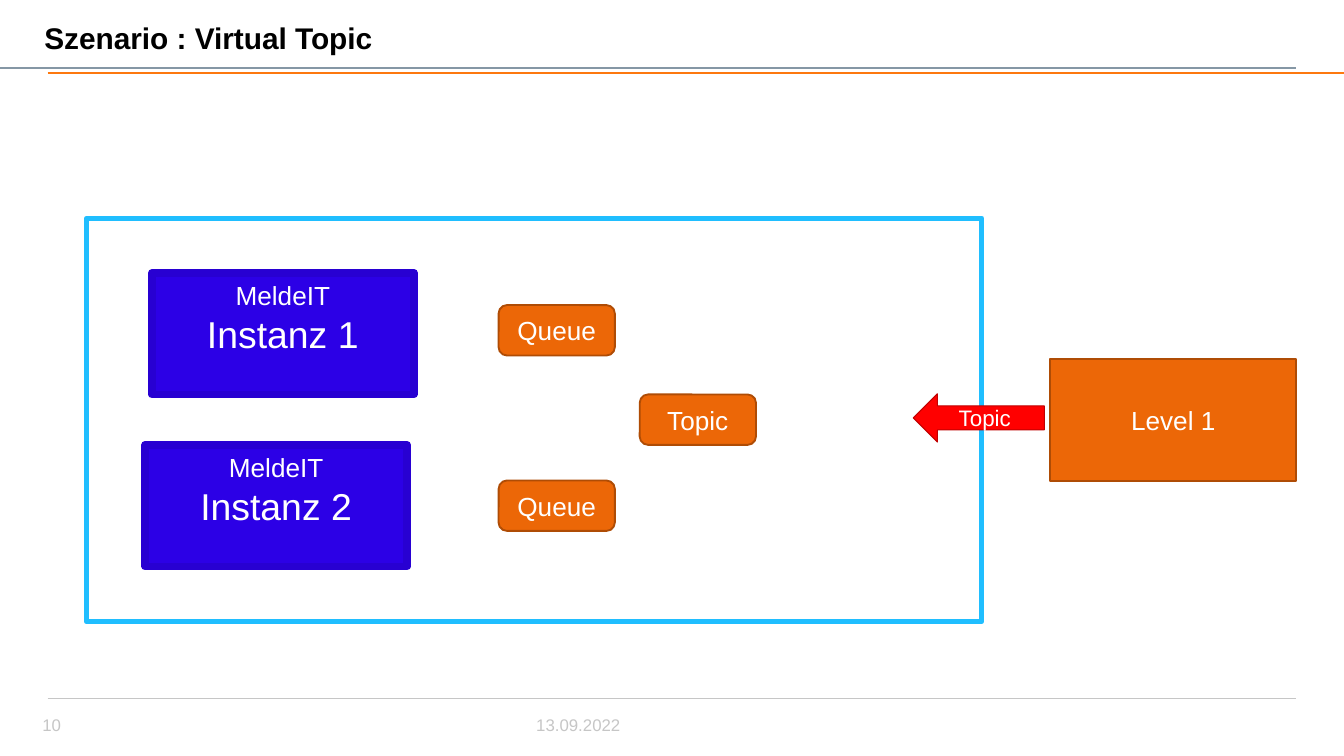
from lxml.etree import SubElement
from pptx import Presentation
from pptx.dml.color import RGBColor
from pptx.enum.shapes import MSO_CONNECTOR, MSO_SHAPE
from pptx.enum.text import MSO_ANCHOR, PP_ALIGN
from pptx.oxml.ns import qn
from pptx.util import Emu, Pt

PX = 4572
WHITE, GREY, ORANGE = "FFFFFF", "C6C6C6", "EC6707"


def px(n):
    return Emu(n * PX)


def color(fmt, value):
    fmt.rgb = RGBColor.from_string(value)


def add_text(tf, lines, sizes, fg=WHITE, bold=False, align=PP_ALIGN.CENTER,
             anchor=MSO_ANCHOR.MIDDLE, margins=(20, 10)):
    tf.word_wrap = True
    tf.vertical_anchor = anchor
    tf.margin_left = tf.margin_right = px(margins[0])
    tf.margin_top = tf.margin_bottom = px(margins[1])
    for i, (line, size) in enumerate(zip(lines, sizes)):
        p = tf.add_paragraph() if i else tf.paragraphs[0]
        p.alignment = align
        r = p.add_run()
        r.text = line
        r.font.name = "Arial"
        r.font.size = Pt(size)
        r.font.bold = bold
        color(r.font.color, fg)


def add_label(s, x, y, w, h, text, size, **fmt):
    tb = s.shapes.add_textbox(px(x), px(y), px(w), px(h))
    add_text(tb.text_frame, [text], [size], margins=(14, 8), **fmt)


def add_rule(s, x, y, w, stroke, width):
    c = s.shapes.add_connector(MSO_CONNECTOR.STRAIGHT, px(x), px(y), px(x + w), px(y))
    color(c.line.color, stroke)
    c.line.width = Pt(width)
    SubElement(c._element.spPr, qn("a:effectLst"))


def add_box(s, kind, x, y, w, h, fill, stroke, width):
    sp = s.shapes.add_shape(kind, px(x), px(y), px(w), px(h))
    sp.shadow.inherit = False
    if fill:
        sp.fill.solid()
        color(sp.fill.fore_color, fill)
    else:
        sp.fill.background()
    color(sp.line.color, stroke)
    sp.line.width = Pt(width)
    return sp


def header(s, x, y, w, title):
    add_rule(s, x, y + 101, w - 71, "8597A5", 1)
    add_rule(s, x + 71, y + 109, w - 71, "FD780F", 1)
    add_label(s, x + 52, y + 21, w - 122, 70, title, 16, fg="000000",
              bold=True, align=PP_ALIGN.LEFT)


def footer(s, x, y, w, number, date):
    add_rule(s, x + 71, y, w - 142, GREY, 0.5)
    add_label(s, x + 49, y + 16, 114, 48, number, 9, fg=GREY, align=PP_ALIGN.LEFT)
    add_label(s, x + 781, y + 16, 156, 48, date, 9, fg=GREY, align=PP_ALIGN.RIGHT)


def system(s, x, y, w, h):
    add_box(s, MSO_SHAPE.RECTANGLE, x, y, w, h, None, "20BEFF", 3)
    for dx, dy, name in ((87, 337, "Instanz 2"), (97, 81, "Instanz 1")):
        sp = add_box(s, MSO_SHAPE.RECTANGLE, x + dx, y + dy, 390, 181, "2C00E6", "2800D2", 4)
        add_text(sp.text_frame, ["MeldeIT", name], [14, 20], anchor=MSO_ANCHOR.TOP)
    for dx, dy, name in ((613, 129, "Queue"), (613, 390, "Queue"), (823, 262, "Topic")):
        sp = add_box(s, MSO_SHAPE.ROUNDED_RECTANGLE, x + dx, y + dy, 173, 75,
                     ORANGE, "AF4C05", 1)
        add_text(sp.text_frame, [name], [14])


def sender(s, x, y, w, h):
    sp = add_box(s, MSO_SHAPE.RECTANGLE, x + w - 366, y, 366, h, ORANGE, "AF4C05", 1)
    add_text(sp.text_frame, ["Level 1"], [14])
    sp = add_box(s, MSO_SHAPE.LEFT_ARROW, x, y + 52, 195, 72, "FF0000", "C00000", 0.5)
    add_text(sp.text_frame, ["Topic"], [12])


def main():
    prs = Presentation()
    prs.slide_width, prs.slide_height = px(2000), px(1125)
    s = prs.slides.add_slide(prs.slide_layouts[6])
    header(s, 0, 0, 2000, "Szenario : Virtual Topic")
    footer(s, 0, 1039, 2000, "10", "13.09.2022")
    system(s, 129, 325, 1332, 600)
    sender(s, 1359, 534, 570, 182)
    prs.save("out.pptx")


if __name__ == "__main__":
    main()
